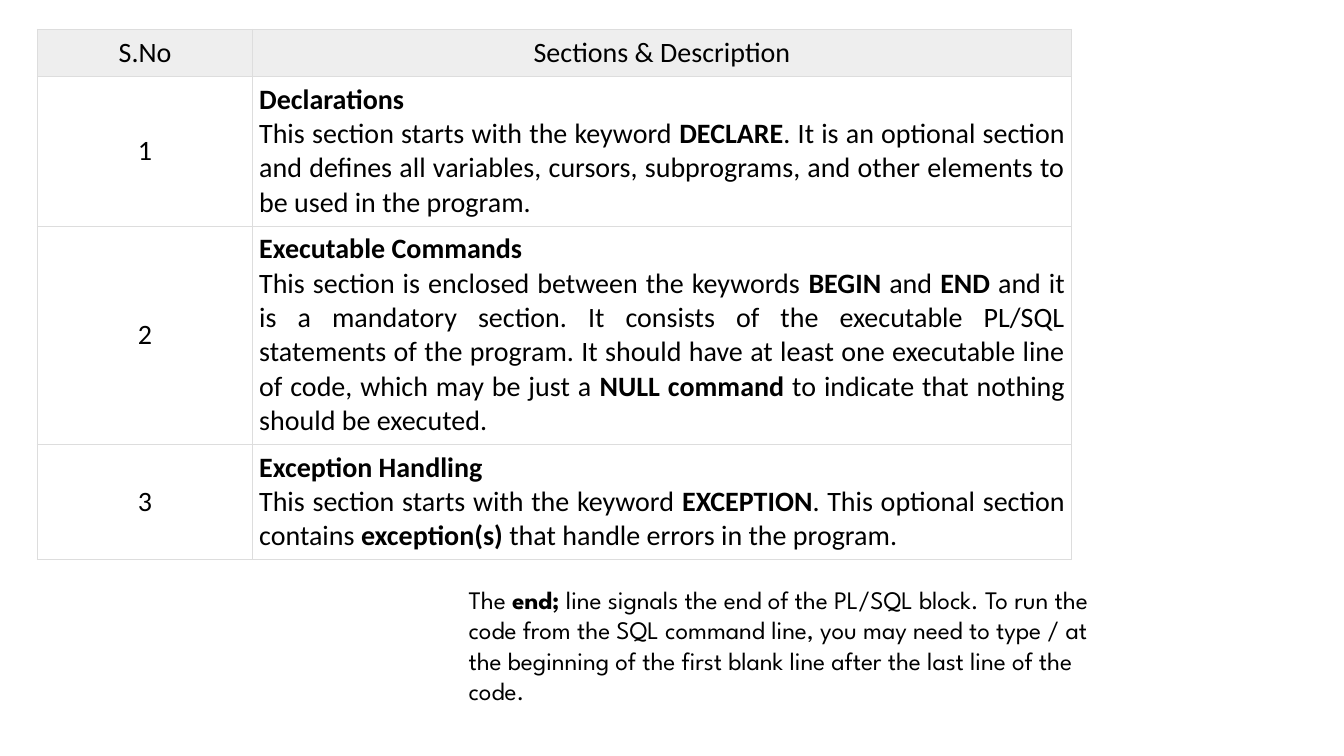
from lxml import etree
from pptx import Presentation
from pptx.dml.color import RGBColor
from pptx.enum import text as t
from pptx.oxml import ns
from pptx.util import Pt

BLACK = RGBColor(0, 0, 0)
GREY = RGBColor(0xEE, 0xEE, 0xEE)
RULE = RGBColor(0xDD, 0xDD, 0xDD)
MID = t.PP_ALIGN.CENTER
JUST = t.PP_ALIGN.JUSTIFY

COLS = [154, 584.5]
ROWS = [23, 96.5, 141, 82]
HEADS = ["S.No", "Sections & Description"]
PARTS = [
    ["**Declarations**",
     "This section starts with the keyword **DECLARE**. It is an optional "
     "section and defines all variables, cursors, subprograms, and other "
     "elements to be used in the program."],
    ["**Executable Commands**",
     "This section is enclosed between the keywords **BEGIN** and **END** "
     "and it is a mandatory section. It consists of the executable PL/SQL "
     "statements of the program. It should have at least one executable "
     "line of code, which may be just a **NULL command** to indicate that "
     "nothing should be executed."],
    ["**Exception Handling**",
     "This section starts with the keyword **EXCEPTION**. This optional "
     "section contains **exception(s)** that handle errors in the program."],
]
NOTE = ("The **end;** line signals the end of the PL/SQL block. To run the "
        "code from the SQL command line, you may need to type / at the "
        "beginning of the first blank line after the last line of the code.")


def write(frame, lines, size=20, font="Calibri", align=None):
    """Fill a text frame, one paragraph a line; **marks** make bold runs."""
    for i, line in enumerate(lines):
        para = frame.paragraphs[0] if i == 0 else frame.add_paragraph()
        para.alignment = align
        for j, piece in enumerate(line.split("**")):
            if piece:
                run = para.add_run()
                run.text = piece
                run.font.size = Pt(size)
                run.font.name = font
                run.font.bold = j % 2 == 1
                run.font.color.rgb = BLACK


class Page:
    def __init__(self, deck, rule=RULE, width=0.75, inset=4.5):
        self.slide = deck.slides.add_slide(deck.slide_layouts[6])
        self.rule, self.width, self.inset = rule, width, inset

    def edge(self, cell):
        """Draw the four borders of a cell."""
        props = cell._tc.get_or_add_tcPr()
        for side in ("a:lnL", "a:lnR", "a:lnT", "a:lnB"):
            line = etree.SubElement(props, ns.qn(side), w=str(Pt(self.width)))
            fill = etree.SubElement(line, ns.qn("a:solidFill"))
            etree.SubElement(fill, ns.qn("a:srgbClr"), val=str(self.rule))

    def cell(self, cell, lines, align, fill=None, anchor=None):
        cell.margin_left = cell.margin_right = Pt(self.inset)
        cell.margin_top = cell.margin_bottom = Pt(self.inset)
        cell.vertical_anchor = anchor
        self.edge(cell)
        if fill is None:
            cell.fill.background()
        else:
            cell.fill.solid()
            cell.fill.fore_color.rgb = fill
        write(cell.text_frame, lines, align=align)

    def table(self, x, y, cols, rows):
        frame = self.slide.shapes.add_table(
            len(rows), len(cols), Pt(x), Pt(y), Pt(sum(cols)), Pt(sum(rows)))
        grid = frame.table
        grid.first_row = grid.horz_banding = False
        for col, width in zip(grid.columns, cols):
            col.width = Pt(width)
        for row, height in zip(grid.rows, rows):
            row.height = Pt(height)
        return grid

    def box(self, x, y, w, h, lines, **form):
        frame = self.slide.shapes.add_textbox(
            Pt(x), Pt(y), Pt(w), Pt(h)).text_frame
        frame.word_wrap = True
        frame.auto_size = t.MSO_AUTO_SIZE.SHAPE_TO_FIT_TEXT
        write(frame, lines, **form)


def main():
    deck = Presentation()
    deck.slide_width, deck.slide_height = Pt(960), Pt(540)
    page = Page(deck)
    grid = page.table(26.64, 21, COLS, ROWS)
    for i, head in enumerate(HEADS):
        page.cell(grid.cell(0, i), [head], MID, fill=GREY)
    for i, lines in enumerate(PARTS, 1):
        page.cell(grid.cell(i, 0), [str(i)], MID,
                  anchor=t.MSO_ANCHOR.MIDDLE)
        page.cell(grid.cell(i, 1), lines, JUST)
    page.box(327.6, 414, 480, 94.5, [NOTE], size=18, font="League Spartan")
    deck.save("out.pptx")


if __name__ == "__main__":
    main()
